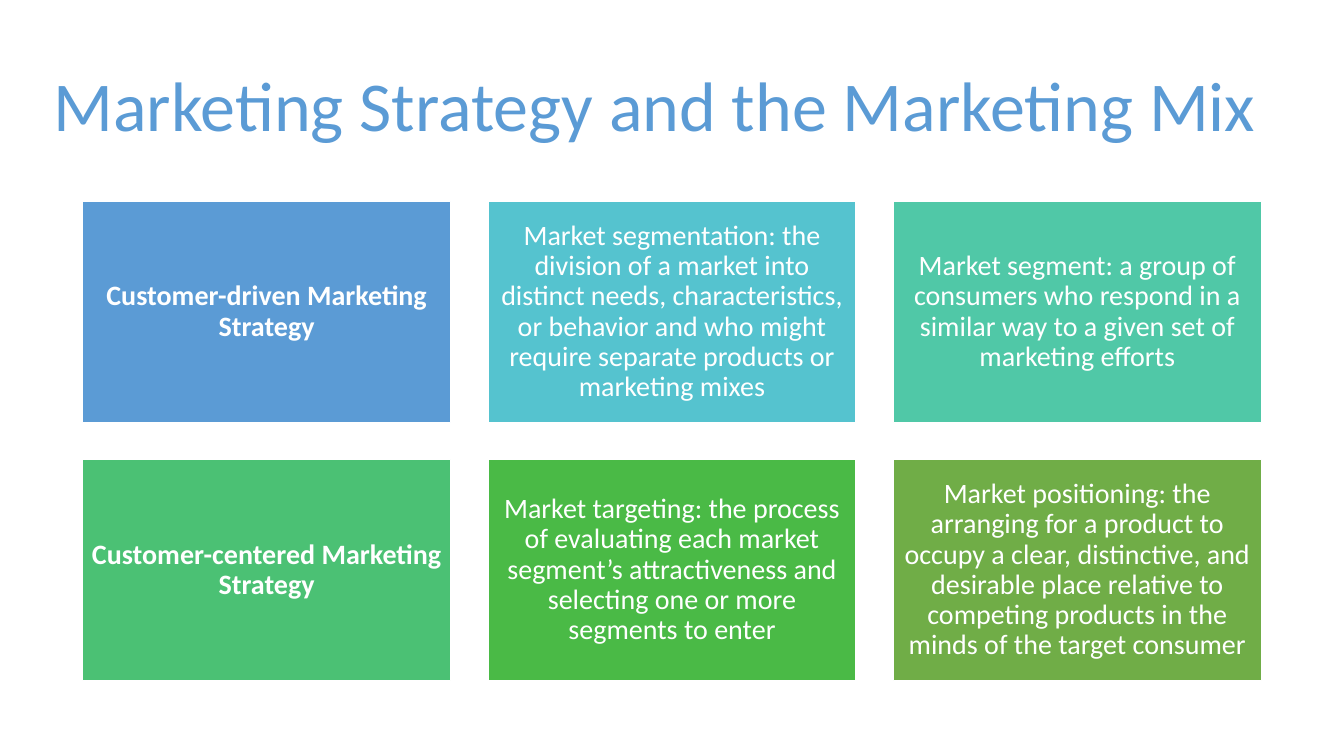
from pptx import Presentation
from pptx import util as u
from pptx.dml.color import RGBColor
from pptx.enum import shapes, text

FONT = "Calibri"
COLUMNS = 3
CARDS = [
    ("Customer-driven Marketing Strategy", "5B9BD5"),
    ("Market segmentation: the division of a market into distinct needs, "
     "characteristics, or behavior and who might require separate products "
     "or marketing mixes", "55C3CF"),
    ("Market segment: a group of consumers who respond in a similar way to "
     "a given set of marketing efforts", "50C8A7"),
    ("Customer-centered Marketing Strategy", "4BC174"),
    ("Market targeting: the process of evaluating each market segment’s "
     "attractiveness and selecting one or more segments to enter", "4ABA46"),
    ("Market positioning: the arranging for a product to occupy a clear, "
     "distinctive, and desirable place relative to competing products in the "
     "minds of the target consumer", "70AD47"),
]


def color(hex_value):
    return RGBColor.from_string(hex_value)


def write(frame, words, size, hex_value, align, bold=False):
    frame.text = words
    frame.word_wrap = True
    frame.auto_size = text.MSO_AUTO_SIZE.NONE
    frame.vertical_anchor = text.MSO_ANCHOR.MIDDLE
    paragraph = frame.paragraphs[0]
    paragraph.alignment = align
    paragraph.line_spacing = 0.9
    font = paragraph.runs[0].font
    font.name = FONT
    font.size = u.Pt(size)
    font.bold = bold
    font.color.rgb = color(hex_value)


def add_heading(slide, left, top, width, height):
    heading = slide.shapes.title
    heading.left, heading.top = u.Inches(left), u.Inches(top)
    heading.width, heading.height = u.Inches(width), u.Inches(height)
    write(heading.text_frame, "Marketing Strategy and the Marketing Mix",
          50, "5B9BD5", text.PP_ALIGN.LEFT)


def add_card(slide, left, top, width, height, words, fill, bold):
    card = slide.shapes.add_shape(
        shapes.MSO_SHAPE.RECTANGLE, u.Inches(left), u.Inches(top),
        u.Inches(width), u.Inches(height))
    card.shadow.inherit = False
    card.fill.solid()
    card.fill.fore_color.rgb = color(fill)
    card.line.color.rgb = color("FFFFFF")
    card.line.width = u.Pt(1)
    frame = card.text_frame
    frame.margin_left = frame.margin_right = u.Inches(0.08)
    frame.margin_top = frame.margin_bottom = u.Inches(0.08)
    write(frame, words, 20, "FFFFFF", text.PP_ALIGN.CENTER, bold)


def add_strategy_grid(slide, left, top, width, height, gap):
    rows = len(CARDS) // COLUMNS
    card_width = (width - gap * (COLUMNS - 1)) / COLUMNS
    card_height = (height - gap * (rows - 1)) / rows
    for index, (words, fill) in enumerate(CARDS):
        row, column = divmod(index, COLUMNS)
        add_card(slide, left + column * (card_width + gap),
                 top + row * (card_height + gap),
                 card_width, card_height, words, fill, bold=column == 0)


def main():
    deck = Presentation()
    deck.slide_width, deck.slide_height = u.Inches(13.33), u.Inches(7.5)
    slide = deck.slides.add_slide(deck.slide_layouts[5])
    add_heading(slide, 0.43, 0.35, 12.48, 1.45)
    add_strategy_grid(slide, 0.82, 2, 11.69, 4.75, 0.37)
    deck.save("out.pptx")


if __name__ == "__main__":
    main()
